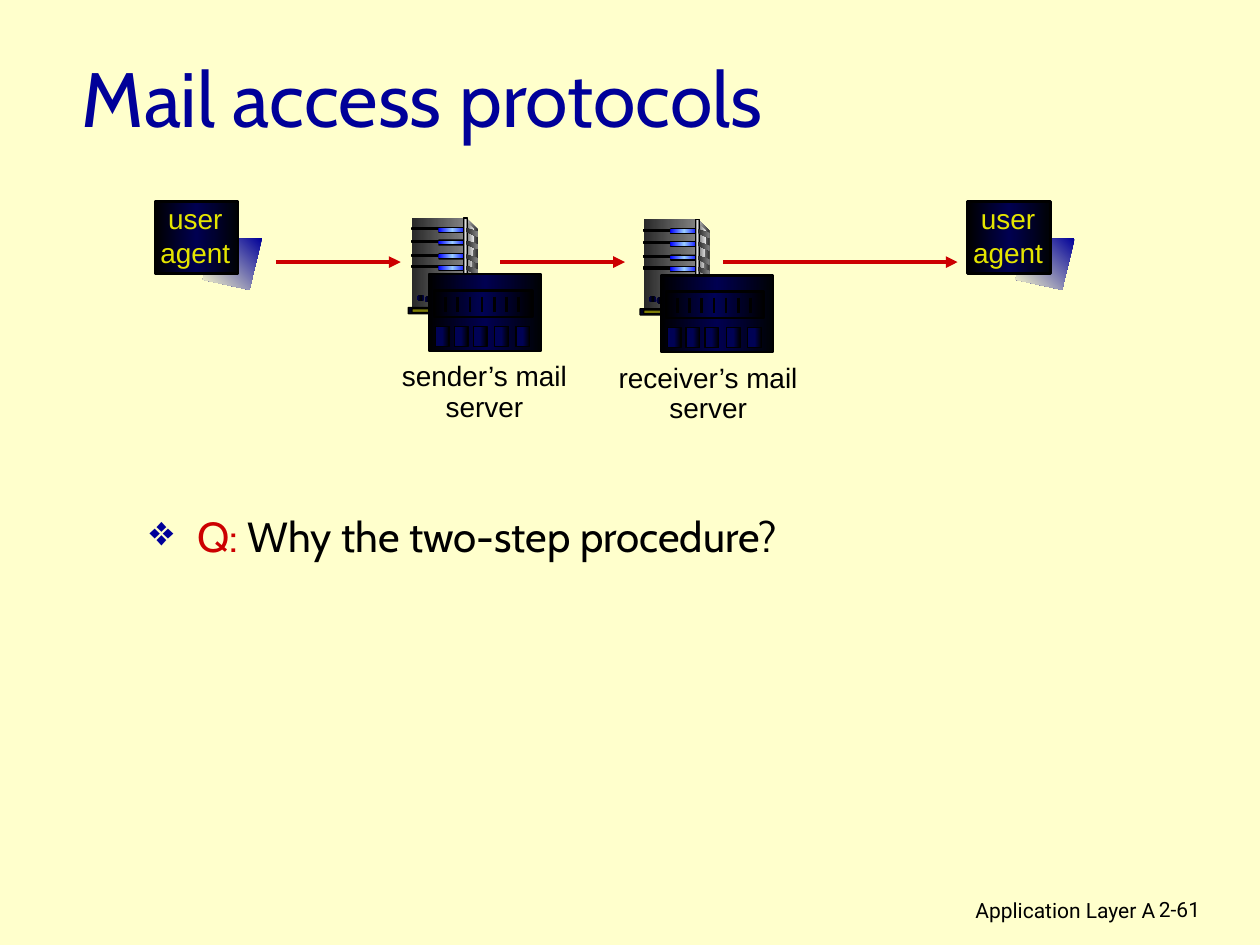
from lxml import etree
from pptx import Presentation
from pptx.dml.color import RGBColor
from pptx.enum.shapes import MSO_CONNECTOR, MSO_SHAPE
from pptx.enum.text import MSO_ANCHOR, MSO_AUTO_SIZE, PP_ALIGN
from pptx.oxml import parse_xml
from pptx.oxml.ns import nsdecls, qn
from pptx.util import Inches, Pt

RECT, ROUND, OVAL = MSO_SHAPE.RECTANGLE, MSO_SHAPE.ROUNDED_RECTANGLE, MSO_SHAPE.OVAL
LEFT, MID, RIGHT = PP_ALIGN.LEFT, PP_ALIGN.CENTER, PP_ALIGN.RIGHT

CREAM = RGBColor(0xFF, 0xFF, 0xCC)
NAVY = RGBColor(0x00, 0x00, 0x99)
BLUE = RGBColor(0x00, 0x33, 0xCC)
RED = RGBColor(0xCC, 0x00, 0x00)
BLACK = RGBColor(0x00, 0x00, 0x00)
GOLD = RGBColor(0xE5, 0xE5, 0x00)
YELLOW = RGBColor(0xFF, 0xFF, 0x00)
LIME = RGBColor(0x00, 0xFF, 0x00)
GREEN = RGBColor(0x33, 0xCC, 0x33)
LAMP = RGBColor(0xFF, 0x00, 0x00)
COAL = RGBColor(0x29, 0x29, 0x29)
DARK = RGBColor(0x33, 0x33, 0x33)
GRAY = RGBColor(0x80, 0x80, 0x80)
PALE = RGBColor(0xDD, 0xDD, 0xDD)
WHITE = RGBColor(0xF8, 0xF8, 0xF8)
PURE = RGBColor(0x00, 0x00, 0xFF)
SKY = RGBColor(0x99, 0xCC, 0xFF)
OLIVE = RGBColor(0x80, 0x80, 0x00)
MOSS = RGBColor(0x66, 0x66, 0x33)

STEEL = (COAL, GRAY)
GLOW = (PURE, SKY, PURE)

LABEL = {"name": "Arial", "size": Pt(16)}
FOOT = {"name": "Roboto", "size": Pt(12)}
HEAD = {"name": "Cabin", "size": Pt(44), "bold": False}
BODY = {"name": "Cabin", "size": Pt(24)}


def blend(shape, tones, turn):
    """Fill a shape with evenly spaced gradient stops."""
    shape.fill.background()
    old = shape._element.spPr.find(qn("a:noFill"))
    step = 100000 // (len(tones) - 1)
    stops = "".join(
        f'<a:gs pos="{i * step}"><a:srgbClr val="{tone}"/></a:gs>'
        for i, tone in enumerate(tones))
    old.getparent().replace(old, parse_xml(
        f'<a:gradFill {nsdecls("a")} rotWithShape="1"><a:gsLst>{stops}</a:gsLst>'
        f'<a:lin ang="{turn * 60000}" scaled="0"/></a:gradFill>'))


def paint(shape, fill, line=0, turn=0):
    shape.shadow.inherit = False
    if isinstance(fill, tuple):
        blend(shape, fill, turn)
    else:
        shape.fill.solid()
        shape.fill.fore_color.rgb = fill
    if line:
        shape.line.color.rgb = BLACK
        shape.line.width = Pt(line)
    else:
        shape.line.fill.background()


def block(host, kind, box, fill, line=0):
    shape = host.shapes.add_shape(kind, *map(Inches, box))
    if kind == ROUND:
        shape.adjustments[0] = 0.11
    paint(shape, fill, line)


def panel(host, points, fill, turn=0):
    dots = [(Inches(x), Inches(y)) for x, y in points]
    pen = host.shapes.build_freeform(*dots[0])
    pen.add_line_segments(dots[1:], close=True)
    paint(pen.convert_to_shape(), fill, turn=turn)


def stroke(host, start, end, tone, width, arrow=False):
    line = host.shapes.add_connector(
        MSO_CONNECTOR.STRAIGHT, *map(Inches, start + end))
    line.line.color.rgb = tone
    line.line.width = Pt(width)
    if arrow:
        etree.SubElement(line.line._get_or_add_ln(), qn("a:tailEnd"), type="triangle")
    etree.SubElement(line._element.spPr, qn("a:effectLst"))


def write(para, text, look, tone):
    run = para.add_run()
    run.text = text
    for key, value in look.items():
        setattr(run.font, key, value)
    run.font.color.rgb = tone


def label(host, box, lines, look, tone=BLACK, align=LEFT, space=1.0, wrap=False):
    frame = host.shapes.add_textbox(*map(Inches, box)).text_frame
    frame.word_wrap = wrap
    for i, text in enumerate(lines):
        para = frame.add_paragraph() if i else frame.paragraphs[0]
        para.alignment, para.line_spacing = align, space
        write(para, text, look, tone)


def tower(slide, x, y):
    """Server tower with its front's top left corner at x, y."""
    group = slide.shapes.add_group_shape()

    def part(kind, box, fill, line=0):
        block(group, kind, (x + box[0], y + box[1], *box[2:]), fill, line)

    def side(points, fill):
        panel(group, [(x + a, y + b) for a, b in points], fill)

    # Case
    side([(0.43, 0), (0.52, 0.09), (0.52, 0.69), (0.41, 0.72)], (PALE, DARK))
    part(RECT, (0, 0, 0.41, 0.72), STEEL)
    side([(0.44, 0.04), (0.5, 0.1), (0.44, 0.7)], (GRAY, WHITE))
    # Drive bays
    for top in (0.08, 0.18, 0.29, 0.38):
        part(RECT, (0, top, 0.23, 0.015), BLACK, 0.75)
        part(ROUND, (0.21, top - 0.01, 0.23, 0.05), BLACK)
        part(ROUND, (0.21, top, 0.22, 0.03), GLOW)
    part(RECT, (0.41, 0, 0.03, 0.72), (DARK, PALE, DARK), 0.75)
    for top in (0.08, 0.18, 0.29, 0.38):
        side([(0.43, top), (0.52, top + 0.03), (0.52, top + 0.07),
              (0.43, top + 0.03)], STEEL)
    # Foot and lamps
    part(ROUND, (-0.03, 0.71, 0.47, 0.05), PALE, 0.75)
    part(ROUND, (0, 0.72, 0.42, 0.03), (OLIVE, MOSS), 0.75)
    part(OVAL, (0.04, 0.61, 0.06, 0.05), GREEN)
    part(OVAL, (0.1, 0.62, 0.06, 0.05), LAMP)
    part(RECT, (0.33, 0.44, 0.03, 0.24), COAL, 0.75)


def queue(slide, x, y):
    """Mail server box: message queue above, mailboxes below."""
    group = slide.shapes.add_group_shape()
    block(group, RECT, (x, y, 0.89, 0.61), BLUE, 1.5)
    block(group, RECT, (x + 0.04, y + 0.13, 0.78, 0.21), LIME, 1.5)
    for i in range(7):
        at = x + 0.13 + i * 0.097
        stroke(group, (at, y + 0.18), (at, y + 0.3), BLACK, 1.5)
    for left in (0.05, 0.2, 0.35, 0.52, 0.69):
        block(group, RECT, (x + left, y + 0.415, 0.11, 0.16), YELLOW, 0.75)


def agent(slide, x, y):
    group = slide.shapes.add_group_shape()
    shade = [(0.85, 0.29), (0.45, 0.3), (0.38, 0.62), (0.75, 0.7)]
    panel(group, [(x + a, y + b) for a, b in shade], (NAVY, CREAM), 135)
    block(group, RECT, (x, y, 0.66, 0.57), BLUE, 1.5)
    label(group, (x - 0.06, y - 0.05, 0.76, 0.64), ("user", "agent"),
          LABEL, GOLD, MID)


def title(slide, text):
    shape = slide.shapes.title
    shape.left, shape.top, shape.width, shape.height = map(
        Inches, (0.55, 0.28, 8.5, 0.98))
    frame = shape.text_frame
    frame.auto_size = MSO_AUTO_SIZE.NONE
    frame.vertical_anchor = MSO_ANCHOR.MIDDLE
    para = frame.paragraphs[0]
    para.alignment = LEFT
    write(para, text, HEAD, NAVY)


def bullet(slide, box, pieces):
    frame = slide.shapes.add_textbox(*map(Inches, box)).text_frame
    frame.word_wrap = True
    para = frame.paragraphs[0]
    props = para._p.get_or_add_pPr()
    props.set("marL", str(Inches(0.38)))
    props.set("indent", str(Inches(-0.38)))
    tint = etree.SubElement(props, qn("a:buClr"))
    etree.SubElement(tint, qn("a:srgbClr"), val=str(NAVY))
    etree.SubElement(props, qn("a:buChar"), char="❖")
    para.line_spacing = 0.85
    for text, tone in pieces:
        write(para, text, BODY, tone)


def main():
    deck = Presentation()
    deck.slide_width, deck.slide_height = Inches(10), Inches(7.5)
    slide = deck.slides.add_slide(deck.slide_layouts[5])
    slide.background.fill.solid()
    slide.background.fill.fore_color.rgb = CREAM

    # Footer
    label(slide, (6.1, 7.07, 3.17, 0.31), ["Application Layer A"], FOOT,
          align=RIGHT, wrap=True)
    label(slide, (9.1, 7.07, 0.74, 0.3), ["2-61"], FOOT, wrap=True)

    # Title and question
    title(slide, "Mail access protocols")
    bullet(slide, (1.09, 4.06, 8.07, 1.05),
           [("Q:", RED), (" Why the two-step procedure?", BLACK)])

    # Mail servers
    for owner, x, y, box in (("sender", 3.27, 1.73, (3.06, 2.83, 1.57, 0.58)),
                             ("receiver", 5.11, 1.74, (4.78, 2.84, 1.68, 0.58))):
        tower(slide, x, y)
        queue(slide, x + 0.135, y + 0.445)
        label(slide, box, (f"{owner}’s mail", "server"), LABEL,
              align=MID, space=0.9)

    # Mail flow
    for start, end in ((2.19, 3.18), (3.97, 4.96), (5.74, 7.6)):
        stroke(slide, (start, 2.08), (end, 2.08), RED, 2.25, arrow=True)

    # User agents
    for x in (1.23, 7.68):
        agent(slide, x, 1.6)

    deck.save("out.pptx")


if __name__ == "__main__":
    main()
